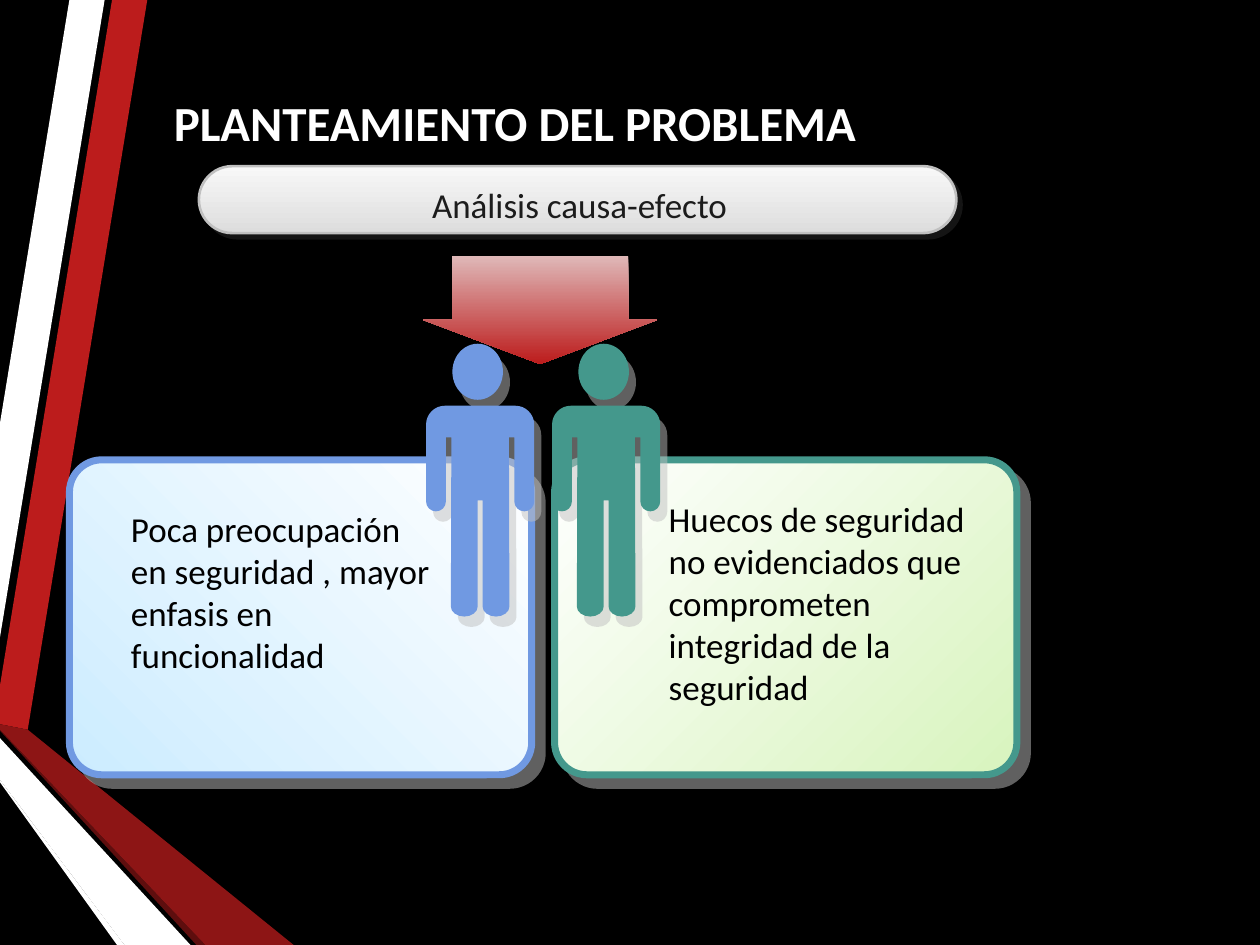
from math import cos, radians, sin

from lxml.etree import SubElement
from pptx import Presentation
from pptx.dml.color import RGBColor
from pptx.enum.shapes import MSO_SHAPE
from pptx.enum.text import MSO_ANCHOR, PP_ALIGN
from pptx.oxml.ns import qn
from pptx.util import Cm, Pt

COLORS = {
    "black": "000000", "white": "FFFFFF", "ink": "1C1C1C",
    "red": "BC1C1C", "dark_red": "8D1515", "deep_red": "5E0E0E", "pale_red": "DFB8B8",
    "blue": "7099E2", "pale_blue": "CCECFF",
    "green": "44988C", "pale_green": "D8F4BE",
    "silver": "C0C0C0", "light_gray": "F8F8F8", "mid_gray": "DDDDDD", "shade": "292929",
}


def rgb(name):
    return RGBColor.from_string(COLORS[name])


def write_text(frame, text, size=20, color="black", bold=False,
               align=PP_ALIGN.LEFT, anchor=MSO_ANCHOR.TOP):
    frame.word_wrap = True
    frame.vertical_anchor = anchor
    paragraph = frame.paragraphs[0]
    paragraph.alignment = align
    run = paragraph.add_run()
    run.text = text
    run.font.name = "Calibri"
    run.font.size = Pt(size)
    run.font.bold = bold
    run.font.color.rgb = rgb(color)


def arc(center_x, center_y, radius_x, radius_y, start, end, steps=8):
    angles = [radians(start + (end - start) * i / steps) for i in range(steps + 1)]
    return [(center_x + radius_x * cos(a), center_y + radius_y * sin(a)) for a in angles]


# Left half of a standing figure, in cm from the middle of its shoulders
HALF_BODY = [
    *arc(-0.71, 0.38, 0.38, 0.38, 270, 180),   # shoulder
    *arc(-0.89, 1.93, 0.2, 0.2, 180, 0),       # hand
    (-0.69, 0.64), (-0.58, 0.64),              # armpit
    *arc(-0.32, 4.05, 0.27, 0.2, 180, 0),      # foot
    (-0.05, 1.91),                             # top of the leg
]
BODY = HALF_BODY + [(-x, y) for x, y in reversed(HALF_BODY)]


class SlideBuilder:
    def __init__(self, slide):
        self.slide = slide
        self.shapes = slide.shapes

    def background(self, color):
        fill = self.slide.background.fill
        fill.solid()
        fill.fore_color.rgb = rgb(color)

    def title(self, text, left, top, width, height):
        title = self.shapes.title
        title.left, title.top = Cm(left), Cm(top)
        title.width, title.height = Cm(width), Cm(height)
        write_text(title.text_frame, text, size=28, color="white", bold=True,
                   anchor=MSO_ANCHOR.MIDDLE)

    def text(self, text, left, top, width, height, **style):
        box = self.shapes.add_textbox(Cm(left), Cm(top), Cm(width), Cm(height))
        write_text(box.text_frame, text, **style)

    def shape(self, kind, left, top, width, height, adjustments=(), **style):
        shape = self.shapes.add_shape(kind, Cm(left), Cm(top), Cm(width), Cm(height))
        for i, value in enumerate(adjustments):
            shape.adjustments[i] = value
        self.paint(shape, **style)

    def outline(self, points, **style):
        start, *rest = [(Cm(x), Cm(y)) for x, y in points]
        builder = self.shapes.build_freeform(*start)
        builder.add_line_segments(rest, close=True)
        self.paint(builder.convert_to_shape(), **style)

    def person(self, center, color):
        style = {"fill": color, "shadow": ("silver", 7.2, 56)}
        self.shape(MSO_SHAPE.OVAL, center - 0.56, 6.93, 1.02, 1.13, **style)
        self.outline([(center + x, 8.18 + y) for x, y in BODY], **style)

    def card(self, left, gradient, angle, line):
        self.shape(MSO_SHAPE.ROUNDED_RECTANGLE, left, 9.27, 9.32, 6.35, [0.103],
                   gradient=gradient, angle=angle, line=(line, 4),
                   shadow=("silver", 8.5, 45))

    def paint(self, shape, fill=None, gradient=None, angle=0, line=None, shadow=None):
        if gradient:
            shape.fill.gradient()
            shape.fill.gradient_angle = angle
            for stop, color in zip(shape.fill.gradient_stops, gradient):
                stop.color.rgb = rgb(color)
        else:
            shape.fill.solid()
            shape.fill.fore_color.rgb = rgb(fill)
        if line:
            color, width = line
            shape.line.color.rgb = rgb(color)
            shape.line.width = Pt(width)
        else:
            shape.line.fill.background()
        shape.shadow.inherit = False
        if shadow:
            self.cast_shadow(shape, *shadow)

    def cast_shadow(self, shape, color, distance, direction):
        effects = shape.element.spPr.find(qn("a:effectLst"))
        outer = SubElement(effects, qn("a:outerShdw"), dist=str(Pt(distance)),
                           dir=str(direction * 60000), algn="ctr", rotWithShape="0")
        tint = SubElement(outer, qn("a:srgbClr"), val=COLORS[color])
        SubElement(tint, qn("a:alpha"), val="50000")


def main():
    presentation = Presentation()
    presentation.slide_width, presentation.slide_height = Cm(25.4), Cm(19.05)
    page = SlideBuilder(presentation.slides.add_slide(presentation.slide_layouts[5]))
    page.background("black")

    # Ribbons along the left edge
    ribbons = [
        ("red", [(0, 13.82), (0, 14.6), (0.56, 14.71), (2.97, 0), (2.26, 0)]),
        ("white", [(2.11, 0), (1.4, 0), (0, 8.53), (0, 12.85)]),
        ("white", [(0, 15.72), (0, 15.77), (2.36, 19.05), (2.51, 19.05)]),
        ("deep_red", [(0, 14.71), (0, 14.73), (3.96, 19.05), (4.14, 19.05)]),
        ("dark_red", [(0, 14.71), (4.14, 19.05), (5.92, 19.05), (0.56, 14.71), (0, 14.6)]),
        ("white", [(0, 15.72), (2.51, 19.05), (3.84, 19.05), (0, 14.88)]),
    ]
    for color, points in ribbons:
        page.outline(points, fill=color)

    page.title("PLANTEAMIENTO DEL PROBLEMA", 3.25, 1.22, 17.93, 2.46)

    # Cause
    page.card(1.4, ("pale_blue", "white"), 45, "blue")
    page.person(9.68, "blue")
    page.text("Poca preocupación en seguridad , mayor enfasis en funcionalidad",
              2.39, 10.11, 6.78, 3.68)

    # Effect
    page.card(11.18, ("white", "pale_green"), 315, "green")
    page.text("Huecos de seguridad no evidenciados que comprometen integridad de la seguridad",
              13.23, 9.91, 7.19, 4.52)
    page.person(12.22, "green")

    # Heading pill and arrow
    page.shape(MSO_SHAPE.DOWN_ARROW, 8.53, 5.16, 4.72, 2.18, [0.751, 0.408],
               gradient=("pale_red", "red"), angle=270)
    page.shape(MSO_SHAPE.ROUNDED_RECTANGLE, 4.01, 3.35, 15.27, 1.35, [0.5],
               gradient=("light_gray", "mid_gray"), angle=270,
               line=("silver", 1.5), shadow=("shade", 4.2, 45))
    page.text("Análisis causa-efecto", 4.75, 3.58, 13.87, 1.12,
              color="ink", align=PP_ALIGN.CENTER)

    presentation.save("out.pptx")


if __name__ == "__main__":
    main()
